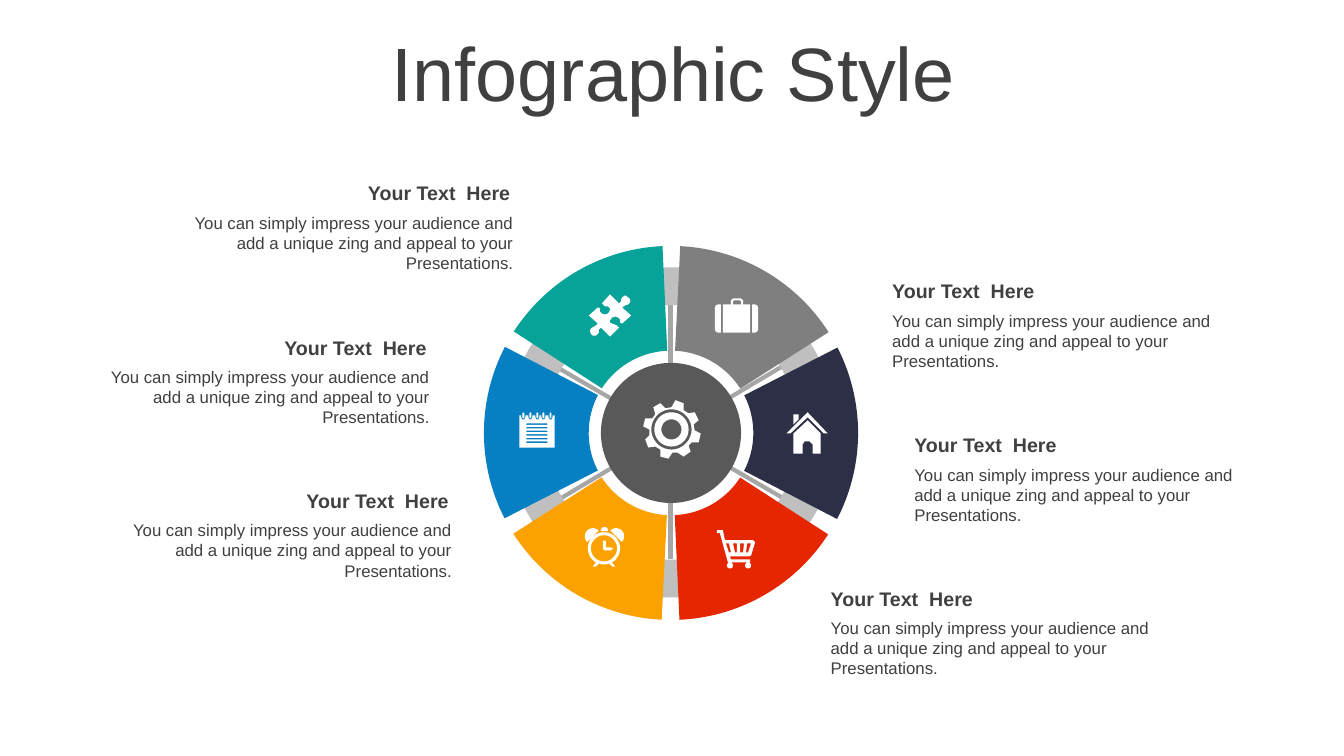
from math import cos, radians, sin

from lxml.etree import SubElement
from pptx import Presentation
from pptx.dml.color import RGBColor
from pptx.enum.shapes import MSO_CONNECTOR as Connector, MSO_SHAPE as Preset
from pptx.enum.text import MSO_ANCHOR as Anchor, MSO_AUTO_SIZE as AutoSize, PP_ALIGN as Align
from pptx.oxml.ns import qn
from pptx.util import Pt

PX = 9144
SLIDE_W, SLIDE_H = 1333, 750

WHITE = RGBColor(0xFF, 0xFF, 0xFF)
INK = RGBColor(0x40, 0x40, 0x40)
HUB = RGBColor(0x59, 0x59, 0x59)
SPOKE = RGBColor(0xA6, 0xA6, 0xA6)
RIM = RGBColor(0xBF, 0xBF, 0xBF)
BLUE = RGBColor(0x06, 0x80, 0xC3)
AMBER = RGBColor(0xFB, 0xA2, 0x00)
RED = RGBColor(0xE6, 0x26, 0x01)
NAVY = RGBColor(0x2C, 0x2F, 0x45)
GRAY = RGBColor(0x7F, 0x7F, 0x7F)
TEAL = RGBColor(0x07, 0xA3, 0x98)

SEGMENTS = [(332, BLUE), (272, AMBER), (212, RED), (152, NAVY), (92, GRAY), (32, TEAL)]
SEGMENT_ADJUSTMENTS = (108.5, 141.24, 0.28)
SPOKES = [(25, 117, 265, 256), (145, 55, 145, 312), (265, 115, 25, 258)]

HEADING = "Your Text  Here"
BODY = ("You can simply impress your audience and add a unique zing "
        "and appeal to your Presentations.")
CALLOUTS = [
    (875, 272, Align.LEFT), (100, 480, Align.RIGHT), (897, 425, Align.LEFT),
    (78, 328, Align.RIGHT), (814, 577, Align.LEFT), (161, 175, Align.RIGHT),
]


def arc(cx, cy, radius, start=0, end=360):
    """Return points along an arc, clockwise in degrees from the right."""
    angles = [radians(start + (end - start) * step / 36) for step in range(37)]
    return [(cx + radius * cos(a), cy + radius * sin(a)) for a in angles]


def rect(left, top, right, bottom):
    """Return the four corners of a rectangle."""
    return [(left, top), (right, top), (right, bottom), (left, bottom)]


def clock():
    """Return the outlines of the alarm clock."""
    return [
        arc(19, 21, 16), arc(19, 21, 13),
        arc(8, 9, 8, 135, 315), arc(31, 9, 8, 225, 405),
        [(16, 4), (16, 2), (18, 0), (21, 0), (23, 2), (23, 4)],
        [(11, 35), (8, 39), (11, 39), (14, 36)],
        [(27, 35), (30, 39), (27, 39), (24, 36)],
        [(18, 14), (19, 13), (21, 14), (21, 20), (26, 20), (28, 21), (26, 23), (19, 23), (18, 21)],
    ]


def notepad():
    """Return the outlines of the ring-bound notepad."""
    page, rings = [(0, 3)], []
    for x in (4, 11, 18, 24, 31):
        page += [(x - 2, 3), (x - 2, 5), (x - 1, 7), (x + 1, 7), (x + 2, 5), (x + 2, 3)]
        rings.append([(x - 1, 1), (x, 0), (x + 1, 1), (x + 1, 5), (x, 6), (x - 1, 5)])
    page += [(35, 3), (35, 35), (0, 35)]
    rules = [rect(7, 11 + 3.6 * row, 28, 12.5 + 3.6 * row) for row in range(6)]
    return [page, *rings, *rules]


def puzzle():
    """Return the outline of the puzzle piece."""
    return [[
        (39, 3), (41, 5), (41, 8), (39, 10), (36, 11), (33, 13), (42, 21), (33, 29),
        (31, 28), (31, 25), (29, 23), (26, 22), (23, 23), (21, 26), (21, 28), (23, 29),
        (26, 30), (28, 31), (30, 33), (21, 42), (12, 33), (10, 35), (10, 38), (9, 39),
        (7, 41), (4, 41), (2, 39), (1, 36), (2, 34), (5, 32), (7, 31), (9, 29), (0, 21),
        (9, 13), (11, 14), (11, 17), (13, 19), (16, 20), (19, 19), (21, 16), (21, 14),
        (19, 12), (16, 12), (13, 9), (21, 0), (30, 9), (32, 7), (32, 5), (33, 3), (36, 1),
    ]]


def cart():
    """Return the outlines of the shopping cart."""
    return [
        [(0, 0), (6, 0), (8, 10), (36, 10), (38, 12), (34, 25), (32, 26), (13, 26),
         (14, 29), (33, 29), (33, 32), (11, 32), (3, 3), (0, 3)],
        [(9, 13), (12, 22), (14, 22), (12, 13)],
        [(16, 13), (18, 22), (20, 22), (20, 13)],
        [(23, 13), (23, 22), (26, 22), (27, 13)],
        [(30, 13), (29, 22), (31, 22), (34, 13)],
        arc(13, 35, 3), arc(31, 35, 3),
    ]


def house():
    """Return the outlines of the house."""
    return [
        [(21, 8), (34, 21), (34, 41), (26, 41), (26, 32), (23, 29), (18, 29),
         (16, 32), (16, 41), (7, 41), (7, 21)],
        [(7, 2), (12, 2), (12, 7), (7, 12)],
        [(21, 0), (41, 21), (37, 21), (21, 5), (4, 21), (0, 21)],
    ]


def briefcase():
    """Return the outlines of the briefcase."""
    side = [(3, 6), (6, 6), (6, 34), (3, 34), (1, 33), (0, 31), (0, 9), (1, 7)]
    return [
        side, [(43 - x, y) for x, y in side],
        [(8, 6), (16, 6), (16, 2), (18, 0), (26, 0), (28, 2), (28, 6), (35, 6), (35, 34), (8, 34)],
        [(18, 6), (18, 3), (19, 2), (25, 2), (26, 3), (26, 6)],
    ]


def gear():
    """Return the outlines of the gear."""
    teeth = [
        (40, 3), (40, 10), (45, 13), (51, 12), (55, 20), (50, 24), (51, 30), (57, 33),
        (55, 42), (48, 42), (45, 45), (47, 51), (40, 56), (34, 52), (29, 52), (25, 58),
        (17, 56), (17, 49), (12, 46), (5, 47), (2, 39), (6, 35), (6, 29), (0, 26),
        (2, 18), (9, 18), (12, 14), (10, 7), (17, 3), (22, 8), (28, 7), (32, 0),
    ]
    return [teeth, *(arc(28, 29, radius) for radius in (20, 17, 10))]


ICONS = [(580, 523, clock), (515, 409, notepad), (584, 292, puzzle), (711, 526, cart),
         (780, 409, house), (709, 296, briefcase), (638, 397, gear)]


def set_all(target, values):
    """Set each named attribute of the target."""
    for name, value in values.items():
        setattr(target, name, value)


def paint(shape, fill=None, line=None, width=0):
    """Give a shape a flat fill and line, without shadow."""
    shape.shadow.inherit = False
    for part, colour in ((shape.fill, fill), (shape.line.fill, line)):
        if colour is None:
            part.background()
        else:
            part.solid()
            part.fore_color.rgb = colour
    if line is not None:
        shape.line.width = Pt(width)


def draw_preset(shapes, preset, left, top, size):
    """Add a square preset shape."""
    return shapes.add_shape(preset, left * PX, top * PX, size * PX, size * PX)


def draw_icon(shapes, left, top, outlines):
    """Draw an icon as one white freeform, its inner outlines as holes."""
    builder = None
    for outline in outlines:
        (start, *rest) = [((left + x) * PX, (top + y) * PX) for x, y in outline]
        if builder is None:
            builder = shapes.build_freeform(*start, scale=1.0)
        else:
            builder.move_to(*start)
        builder.add_line_segments(rest, close=True)
    paint(builder.convert_to_shape(), WHITE)


def draw_wheel(shapes, left, top):
    """Draw spokes, hub, rim and the six segments."""
    for x1, y1, x2, y2 in SPOKES:
        ends = [(left + x1) * PX, (top + y1) * PX, (left + x2) * PX, (top + y2) * PX]
        spoke = shapes.add_connector(Connector.STRAIGHT, *ends)
        set_all(spoke.line, {"width": Pt(3)})
        spoke.line.color.rgb = SPOKE
        SubElement(spoke._element.spPr, qn("a:effectLst"))
    paint(draw_preset(shapes, Preset.OVAL, left + 76, top + 117, 139), HUB)
    paint(draw_preset(shapes, Preset.OVAL, left + 1, top + 41, 290), line=RIM, width=27)
    for rotation, colour in SEGMENTS:
        segment = draw_preset(shapes, Preset.BLOCK_ARC, left - 40, top + 1, 371)
        segment.rotation = rotation
        for index, value in enumerate(SEGMENT_ADJUSTMENTS):
            segment.adjustments[index] = value
        paint(segment, colour)


def draw_text(shapes, box, wording, font, paragraph_format, frame_format):
    """Write one paragraph in a text box."""
    frame = shapes.add_textbox(*(length * PX for length in box)).text_frame
    set_all(frame, {"word_wrap": True, **frame_format})
    paragraph = frame.paragraphs[0]
    set_all(paragraph, paragraph_format)
    run = paragraph.add_run()
    run.text = wording
    set_all(run.font, {"name": "Arial", **font})
    run.font.color.rgb = INK


def draw_callout(shapes, left, top, align):
    """Write a bold heading above its description."""
    grow = {"auto_size": AutoSize.SHAPE_TO_FIT_TEXT}
    draw_text(shapes, (left, top + 31, 358, 71), BODY, {"size": Pt(12)}, {"alignment": align}, grow)
    draw_text(shapes, (left, top, 355, 34), HEADING, {"size": Pt(14), "bold": True},
              {"alignment": align}, grow)


def main():
    """Build the slide and save it."""
    deck = Presentation()
    set_all(deck, {"slide_width": SLIDE_W * PX, "slide_height": SLIDE_H * PX})
    shapes = deck.slides.add_slide(deck.slide_layouts[6]).shapes
    draw_text(shapes, (35, 37, 1266, 79), "Infographic Style", {"size": Pt(54)},
              {"alignment": Align.CENTER, "line_spacing": 0.9, "space_before": Pt(10)},
              {"vertical_anchor": Anchor.MIDDLE})
    draw_wheel(shapes, 520, 243)
    for left, top, outlines in ICONS:
        draw_icon(shapes, left, top, outlines())
    for callout in CALLOUTS:
        draw_callout(shapes, *callout)
    deck.save("out.pptx")


if __name__ == "__main__":
    main()
